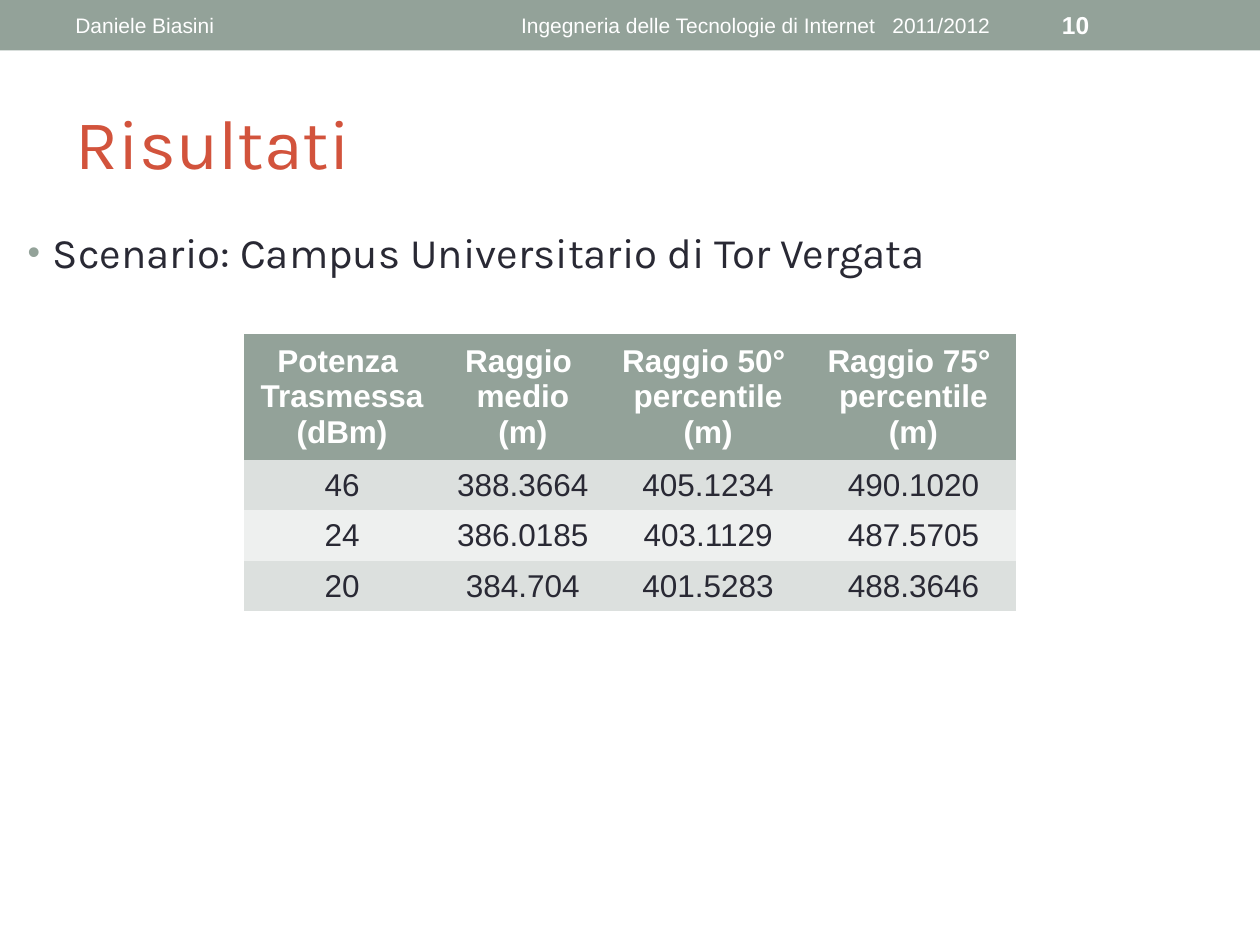
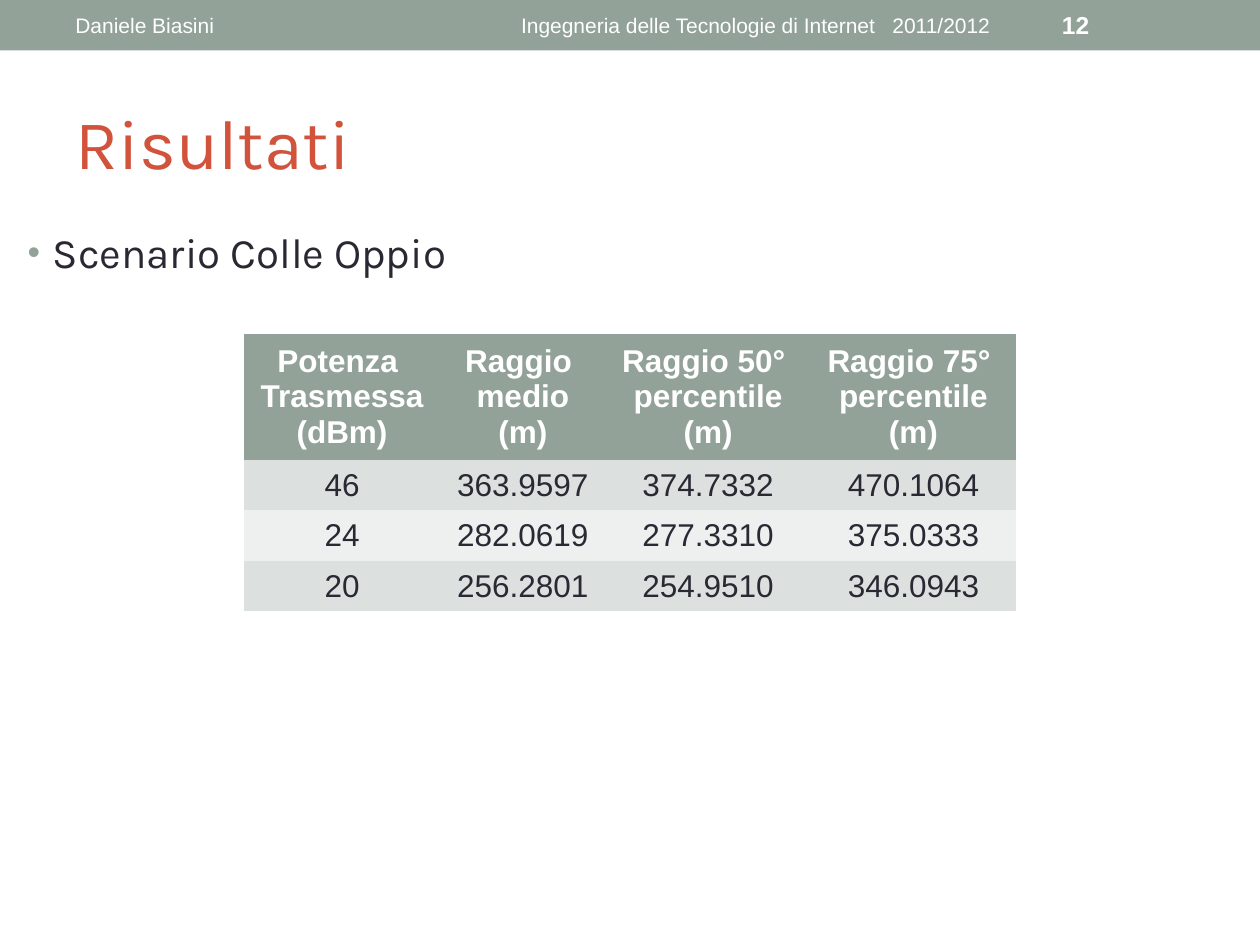
"""Build two slides of coverage results, each with a header band and a table."""
import collections
import dataclasses

import pptx
import pptx.dml.color
import pptx.enum.shapes
import pptx.enum.text
import pptx.oxml
import pptx.oxml.ns
import pptx.util

Box = collections.namedtuple("Box", "left top width height")
Align = pptx.enum.text.PP_ALIGN
Anchor = pptx.enum.text.MSO_ANCHOR
GRID = pptx.util.Inches(0.1)
COLS, ROWS = 100, 75
PLAIN = "{2D5ABB26-0587-4C30-8999-92F81FD0307C}"


@dataclasses.dataclass(frozen=True)
class Theme:
    """Hold the colours, fonts and type sizes of the deck."""
    sage: str = "93A299"
    brick: str = "D2533C"
    ink: str = "292934"
    white: str = "FFFFFF"
    bands: tuple = ("DCE0DE", "EEF0EF")
    head: str = "Karla"
    text: str = "Arial"
    title: int = 40
    body: int = 24
    cell: int = 18
    page: int = 14
    note: int = 12


THEME = Theme()
AUTHOR = "Daniele Biasini"
COURSE = "Ingegneria delle Tecnologie di Internet   2011/2012"
TITLE = "Risultati"
HEADS = ["Potenza \nTrasmessa\n(dBm)", "Raggio \nmedio\n(m)",
         "Raggio 50° \npercentile\n(m)", "Raggio 75° \npercentile\n(m)"]
WIDTHS = [15.6, 13.1, 16.3, 16.3]
HEIGHTS = [10, 4, 4, 4]
PAGES = [
    ("10", "Scenario: Campus Universitario di Tor Vergata",
     [["46", "388.3664", "405.1234", "490.1020"],
      ["24", "386.0185", "403.1129", "487.5705"],
      ["20", "384.704", "401.5283", "488.3646"]]),
    ("12", "Scenario Colle Oppio",
     [["46", "363.9597", "374.7332", "470.1064"],
      ["24", "282.0619", "277.3310", "375.0333"],
      ["20", "256.2801", "254.9510", "346.0943"]]),
]


def rgb(code):
    """Return a colour for a hex code."""
    return pptx.dml.color.RGBColor.from_string(code)


def units(*cells):
    """Turn grid cells into lengths."""
    return [round(cell * GRID) for cell in cells]


def paint(shape, code):
    """Fill a shape or cell with one colour."""
    shape.fill.solid()
    shape.fill.fore_color.rgb = rgb(code)


def write(frame, text, size, code, font=THEME.text, bold=False, align=Align.LEFT):
    """Set the text of a frame and format its runs."""
    frame.text = text
    for para in frame.paragraphs:
        para.alignment = align
        for run in para.runs:
            run.font.name, run.font.size = font, pptx.util.Pt(size)
            run.font.bold = bold
            run.font.color.rgb = rgb(code)


def place(shape, box):
    """Move a shape onto a box of the grid."""
    shape.left, shape.top, shape.width, shape.height = units(*box)


def header(slide, box, page):
    """Draw the band with the author, course and page number."""
    band = slide.shapes.add_shape(pptx.enum.shapes.MSO_SHAPE.RECTANGLE, *units(*box))
    band.shadow.inherit = False
    paint(band, THEME.sage)
    band.line.fill.background()
    parts = [(37.5, 45, COURSE, THEME.note, False, Align.CENTER),
             (83.3, 11.7, page, THEME.page, True, Align.LEFT),
             (5, 31.7, AUTHOR, THEME.note, False, Align.LEFT)]
    for left, width, text, size, bold, align in parts:
        spot = Box(box.left + left, box.top + 0.2, width, box.height - 0.4)
        frame = slide.shapes.add_textbox(*units(*spot)).text_frame
        frame.word_wrap = True
        frame.vertical_anchor = Anchor.MIDDLE
        write(frame, text, size, THEME.white, bold=bold, align=align)


def title(slide, box):
    """Place the slide title."""
    shape = slide.shapes.title
    place(shape, box)
    shape.text_frame.vertical_anchor = Anchor.MIDDLE
    write(shape.text_frame, TITLE, THEME.title, THEME.brick, THEME.head)


def bullet(slide, box, text):
    """Place the scenario line with its bullet."""
    shape = slide.placeholders[1]
    place(shape, box)
    write(shape.text_frame, text, THEME.body, THEME.ink, THEME.head)
    para = shape.text_frame.paragraphs[0]
    para.space_before = pptx.util.Pt(0)
    props = para._p.get_or_add_pPr()
    indent = units(2)[0]
    props.set("marL", str(indent))
    props.set("indent", str(-indent))
    space = pptx.oxml.ns.nsdecls("a")
    for mark in (f'<a:buClr {space}><a:srgbClr val="{THEME.sage}"/></a:buClr>',
                 f'<a:buSzPct {space} val="85000"/>',
                 f'<a:buChar {space} char="•"/>'):
        props.append(pptx.oxml.parse_xml(mark))


def results(slide, box, rows):
    """Draw the table of radii by transmitted power."""
    frame = slide.shapes.add_table(len(HEIGHTS), len(WIDTHS), *units(*box))
    frame._element.find(".//" + pptx.oxml.ns.qn("a:tableStyleId")).text = PLAIN
    table = frame.table
    for col, width in zip(table.columns, units(*WIDTHS)):
        col.width = width
    for row, height in zip(table.rows, units(*HEIGHTS)):
        row.height = height
    for i, row in enumerate([HEADS] + rows):
        top = i == 0
        for j, text in enumerate(row):
            cell = table.cell(i, j)
            cell.vertical_anchor = Anchor.MIDDLE
            paint(cell, THEME.sage if top else THEME.bands[(i - 1) % 2])
            write(cell.text_frame, text, THEME.cell,
                  THEME.white if top else THEME.ink, bold=top, align=Align.CENTER)


def build(deck, page, scene, rows):
    """Add one results slide."""
    slide = deck.slides.add_slide(deck.slide_layouts[1])
    header(slide, Box(0, 0, COLS, 4), page)
    title(slide, Box(5, 5.8, COLS - 10, 10.8))
    bullet(slide, Box(1.2, 17.5, COLS - 2.4, 56.2), scene)
    wide = sum(WIDTHS)
    results(slide, Box((COLS - wide) / 2, 26.5, wide, sum(HEIGHTS)), rows)


def main():
    """Build and save the deck."""
    deck = pptx.Presentation()
    deck.slide_width, deck.slide_height = units(COLS, ROWS)
    for page in PAGES:
        build(deck, *page)
    deck.save("out.pptx")


if __name__ == "__main__":
    main()
